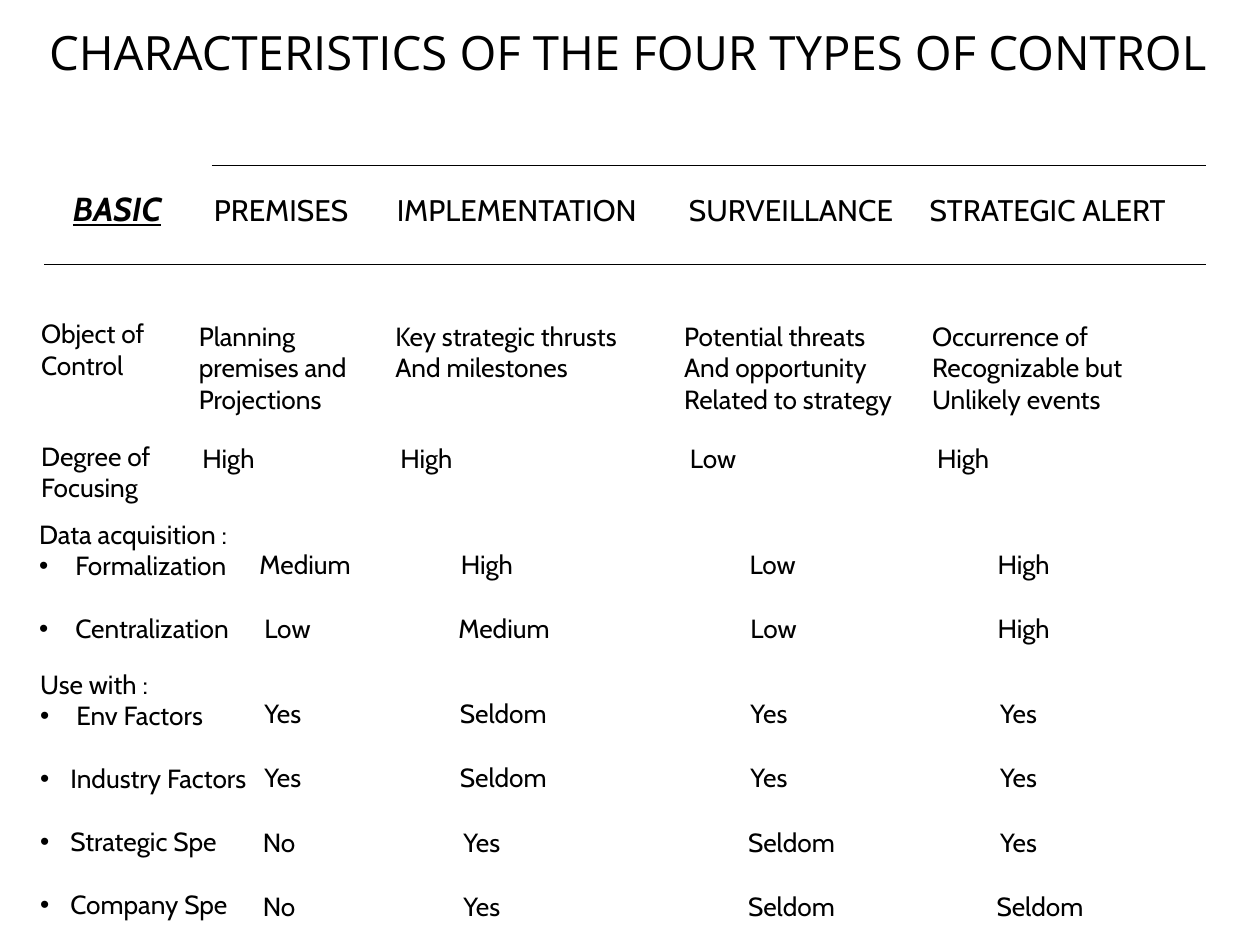
from pptx import Presentation
from pptx.dml.color import RGBColor as Rgb
from pptx.enum.text import MSO_ANCHOR as Anchor, MSO_AUTO_SIZE as Auto, PP_ALIGN as Align
from pptx.util import Cm, Pt
from lxml.etree import SubElement as Sub
from pptx.oxml.ns import qn

INK = "000000"
WIDE = {"High": 1.68, "Low": 1.52, "Medium": 2.57, "Yes": 1.35, "No": 1.22, "Seldom": 2.36}
FRAME = {"word_wrap": False, "auto_size": Auto.SHAPE_TO_FIT_TEXT, "vertical_anchor": Anchor.TOP,
         "margin_left": Cm(0.25), "margin_right": Cm(0.25),
         "margin_top": Cm(0.13), "margin_bottom": Cm(0.13)}
BODY = {"name": "Cabin", "size": Pt(15)}
HEAD = {"name": "Cabin", "size": Pt(17)}
BASIC = {"name": "Cabin", "size": Pt(19), "bold": True, "italic": True, "underline": True}
TITLE = {"name": "Open Sans", "size": Pt(27), "bold": False}


def color(code):
    return Rgb.from_string(code)


def apply(item, form):
    for key, value in form.items():
        setattr(item, key, value)


def place(shape, left, top, width, height):
    apply(shape, {"left": Cm(left), "top": Cm(top), "width": Cm(width), "height": Cm(height)})


def write(frame, lines, form):
    apply(frame, FRAME)
    for spot, line in enumerate(lines):
        para = frame.paragraphs[0] if spot == 0 else frame.add_paragraph()
        para.alignment = Align.LEFT
        run = para.add_run()
        run.text = line
        apply(run.font, form)
        run.font.color.rgb = color(INK)


def label(slide, left, top, width, text, form=BODY, gaps=0):
    lines = text.split("\n")
    tall = 0.25 + (len(lines) + gaps) * form["size"].pt * 0.0428
    box = slide.shapes.add_textbox(Cm(left), Cm(top), Cm(width), Cm(tall))
    write(box.text_frame, lines, form)
    return box


def bullet(para, indent):
    props = para._p.get_or_add_pPr()
    props.set("marL", str(Cm(indent)))
    props.set("indent", str(-Cm(indent)))
    tint = Sub(props, qn("a:buClr"))
    Sub(tint, qn("a:srgbClr")).set("val", INK)
    Sub(props, qn("a:buFont")).set("typeface", "Arial")
    Sub(props, qn("a:buChar")).set("char", "•")


def rule(slide, left, right, top):
    line = slide.shapes.add_connector(1, Cm(left), Cm(top), Cm(right), Cm(top))
    line.line.color.rgb = color(INK)
    line.line.width = Pt(0.75)
    Sub(line._element.spPr, qn("a:effectLst"))


def title(slide, left, top, width, height):
    shape = slide.shapes.title
    place(shape, left, top, width, height)
    write(shape.text_frame, ["CHARACTERISTICS OF THE FOUR TYPES OF CONTROL"], TITLE)


def header(slide, left, top, right):
    rule(slide, left + 3.38, right, top)
    rule(slide, left, right, top + 2)
    label(slide, left + 0.33, top + 0.33, 2.36, "BASIC", BASIC)
    for at, width, text in ((3.17, 3.33, "PREMISES"), (6.86, 5.79, "IMPLEMENTATION"),
                            (12.75, 4.72, "SURVEILLANCE"), (17.6, 5.51, "STRATEGIC ALERT")):
        label(slide, left + at, top + 0.4, width, text, HEAD)


def facts(slide, left, top, name, cells):
    label(slide, left, top, *name)
    for at, width, text in cells:
        label(slide, left + at, top + 0.05, width, text)


def group(slide, left, top, drop, name, rows):
    names = [name] + [row[0] for row in rows]
    box = label(slide, left, top, 4.78, "\n".join(names), gaps=len(rows) - 1)
    for spot, para in enumerate(box.text_frame.paragraphs[1:]):
        para.space_before = Pt(18 if spot else 0)
        bullet(para, rows[spot][1])
    for spot, (_, _, spots, words) in enumerate(rows):
        for at, word in zip(spots, words.split()):
            label(slide, left + at, top + drop + spot * 1.3, WIDE[word], word)


def main():
    deck = Presentation()
    apply(deck, {"slide_width": Cm(25.4), "slide_height": Cm(19.05)})
    slide = deck.slides.add_slide(deck.slide_layouts[5])
    title(slide, 0.74, 0.33, 24.08, 1.4)
    header(slide, 0.89, 3.33, 24.31)
    facts(slide, 0.58, 6.27, (2.77, "Object of\nControl"), (
        (3.18, 3.86, "Planning\npremises and\nProjections"),
        (7.14, 5.59, "Key strategic thrusts\nAnd milestones"),
        (12.96, 5.21, "Potential threats\nAnd opportunity\nRelated to strategy"),
        (17.96, 4.78, "Occurrence of\nRecognizable but\nUnlikely events")))
    levels = zip((3.25, 7.24, 13.08, 18.06), ("High", "High", "Low", "High"))
    facts(slide, 0.58, 8.74, (2.97, "Degree of\nFocusing"),
          [(at, WIDE[word], word) for at, word in levels])
    group(slide, 0.54, 10.31, 0.61, "Data acquisition :", (
        ("Formalization", 0.73, (4.44, 8.5, 14.32, 19.32), "Medium High Low High"),
        ("Centralization", 0.73, (4.54, 8.45, 14.34, 19.32), "Low Medium Low High")))
    used = (4.52, 8.46, 14.32, 19.35)
    group(slide, 0.56, 13.34, 0.58, "Use with :", (
        ("Env Factors", 0.73, used, "Yes Seldom Yes Yes"),
        ("Industry Factors", 0.61, used, "Yes Seldom Yes Yes"),
        ("Strategic Spe", 0.61, (4.49, 8.53, 14.27, 19.35), "No Yes Seldom Yes"),
        ("Company Spe", 0.61, (4.49, 8.53, 14.27, 19.28), "No Yes Seldom Seldom")))
    deck.save("out.pptx")


if __name__ == "__main__":
    main()
